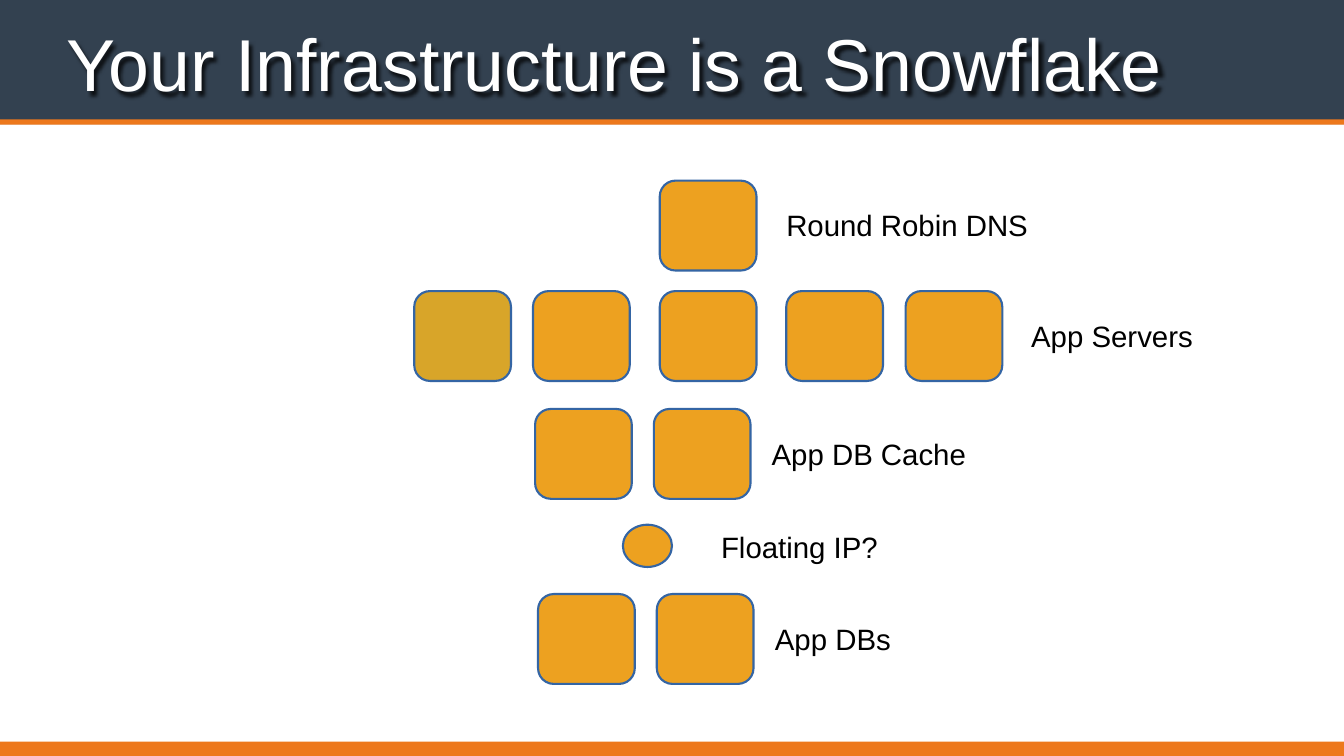
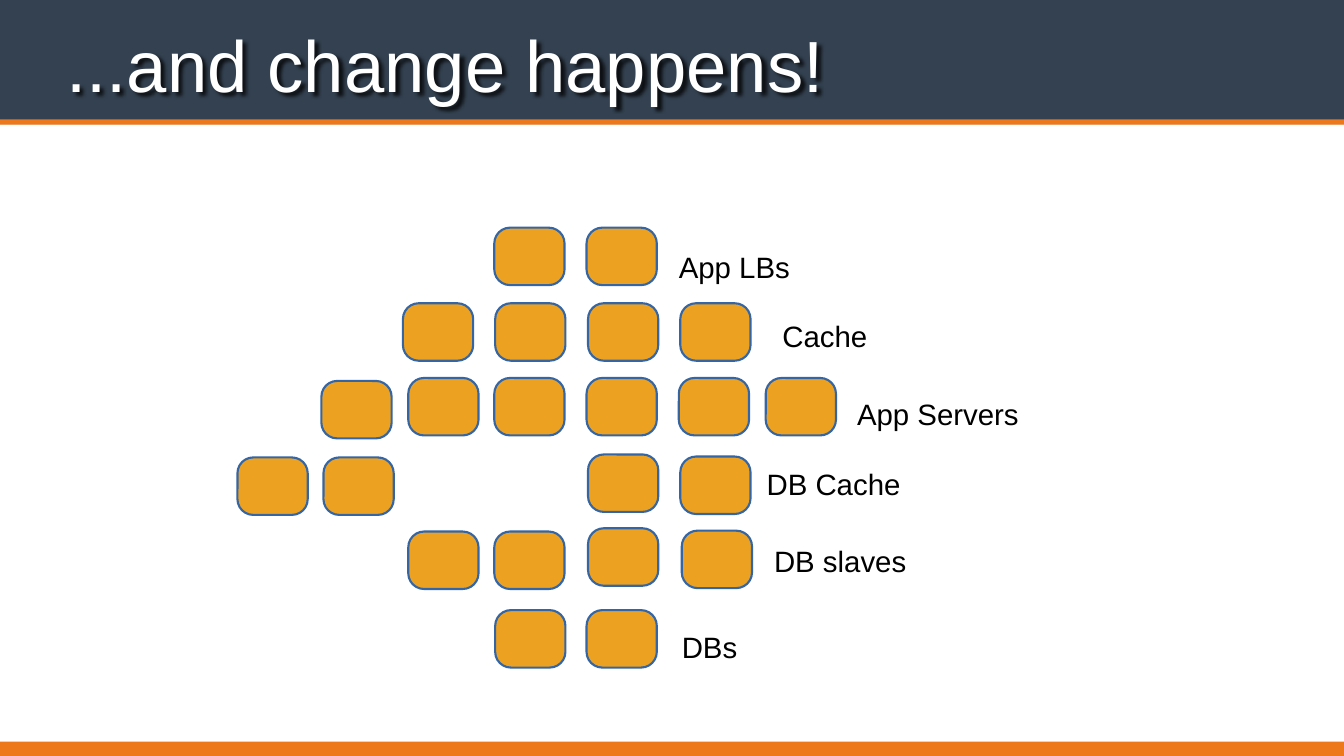
"""Build two slides that show an app's servers as rows of boxes."""
from lxml.etree import SubElement
from pptx import Presentation
from pptx.dml.color import RGBColor
from pptx.enum.shapes import MSO_SHAPE as Kind
from pptx.enum.text import MSO_ANCHOR as Anchor
from pptx.oxml.ns import qn
from pptx.util import Cm, Pt

NAVY, ORANGE, GOLD, OCHRE = "334150", "ED781C", "EDA120", "D8A529"
BLUE, WHITE, BLACK = "3465A4", "FFFFFF", "000000"
WIDE, HIGH = 45.16, 25.4
hue = RGBColor.from_string

BANDS = [(0, 4.17, NAVY), (4.01, 0.18, ORANGE), (24.92, 0.48, ORANGE)]
FRAME = {"word_wrap": True, "margin_left": 0, "margin_top": 0,
         "margin_right": 0, "margin_bottom": 0}

DECK = [
    {
        "title": "Your Infrastructure is a Snowflake",
        "size": 70,
        "box": (3.25, 3.02),
        "bend": 0.175,
        "rows": [
            (6.07, [22.17]),
            (9.78, [13.92, 17.91, 22.17, 26.42, 30.43]),
            (13.74, [17.98, 21.97]),
            (19.96, [18.08, 22.07]),
        ],
        "odd": (9.78, 13.92),
        "dots": [(20.93, 17.63, 1.65, 1.42)],
        "labels": [
            ("Round Robin DNS", 26.42, 7.01, 10.52),
            ("App Servers", 34.65, 10.74, 7.47),
            ("App DB Cache", 25.93, 14.71, 11.76),
            ("Floating IP?", 24.23, 17.81, 12.78),
            ("App DBs", 26.04, 20.93, 12.78),
        ],
    },
    {
        "title": "...and change happens!",
        "size": 69,
        "box": (2.36, 1.93),
        "bend": 0.274,
        "rows": [
            (7.65, [16.61, 19.71]),
            (10.19, [13.54, 16.64, 19.76, 22.86]),
            (12.7, [13.72, 16.61, 19.71, 22.81, 25.73]),
            (12.8, [10.8]),
            (15.37, [7.98, 10.87]),
            (15.27, [19.76]),
            (15.34, [22.86]),
            (17.86, [13.72, 16.61]),
            (17.75, [19.76]),
            (17.83, [22.91]),
            (20.5, [16.64, 19.71]),
        ],
        "odd": None,
        "dots": [],
        "labels": [
            ("App LBs", 22.81, 8.43, 5.61),
            ("Cache", 26.29, 10.72, 6.2),
            ("App Servers", 28.8, 13.36, 8.43),
            ("DB Cache", 25.76, 15.7, 9.14),
            ("DB slaves", 26.01, 18.29, 9.14),
            ("DBs", 22.91, 21.18, 5.61),
        ],
    },
]


def draw(slide, kind, spot, fill, line=None):
    shape = slide.shapes.add_shape(kind, *map(Cm, spot))
    shape.shadow.inherit = False
    shape.fill.solid()
    shape.fill.fore_color.rgb = hue(fill)
    if line:
        shape.line.color.rgb = hue(line)
        shape.line.width = Pt(2)
    else:
        shape.line.fill.background()
    return shape


def write(slide, text, spot, size, color, anchor):
    box = slide.shapes.add_textbox(*map(Cm, spot))
    frame = box.text_frame
    for key, value in FRAME.items():
        setattr(frame, key, value)
    frame.vertical_anchor = anchor
    run = frame.paragraphs[0].add_run()
    run.text = text
    for key, value in {"name": "Arial", "size": Pt(size)}.items():
        setattr(run.font, key, value)
    run.font.color.rgb = hue(color)
    return box


deck = Presentation()
deck.slide_width, deck.slide_height = Cm(WIDE), Cm(HIGH)

for page in DECK:
    slide = deck.slides.add_slide(deck.slide_layouts[6])
    for top, tall, color in BANDS:
        draw(slide, Kind.RECTANGLE, (0, top, WIDE, tall), color)

    for top, lefts in page["rows"]:
        for left in lefts:
            fill = OCHRE if (top, left) == page["odd"] else GOLD
            spot = (left, top, *page["box"])
            box = draw(slide, Kind.ROUNDED_RECTANGLE, spot, fill, BLUE)
            box.adjustments[0] = page["bend"]
    for spot in page["dots"]:
        draw(slide, Kind.OVAL, spot, GOLD, BLUE)
    for text, left, top, wide in page["labels"]:
        write(slide, text, (left, top, wide, 1.09), 28, BLACK, Anchor.MIDDLE)

    spot = (2.24, 0.48, 40.72, 3.1)
    title = write(slide, page["title"], spot, page["size"], WHITE, Anchor.BOTTOM)
    effect = SubElement(title.element.spPr, qn("a:effectLst"))
    shade = SubElement(effect, qn("a:outerShdw"), blurRad=str(Cm(0.13)),
                       dist=str(Cm(0.14)), dir="2700000", rotWithShape="0")
    tint = SubElement(shade, qn("a:srgbClr"), val=BLACK)
    SubElement(tint, qn("a:alpha"), val="75000")

deck.save("out.pptx")
